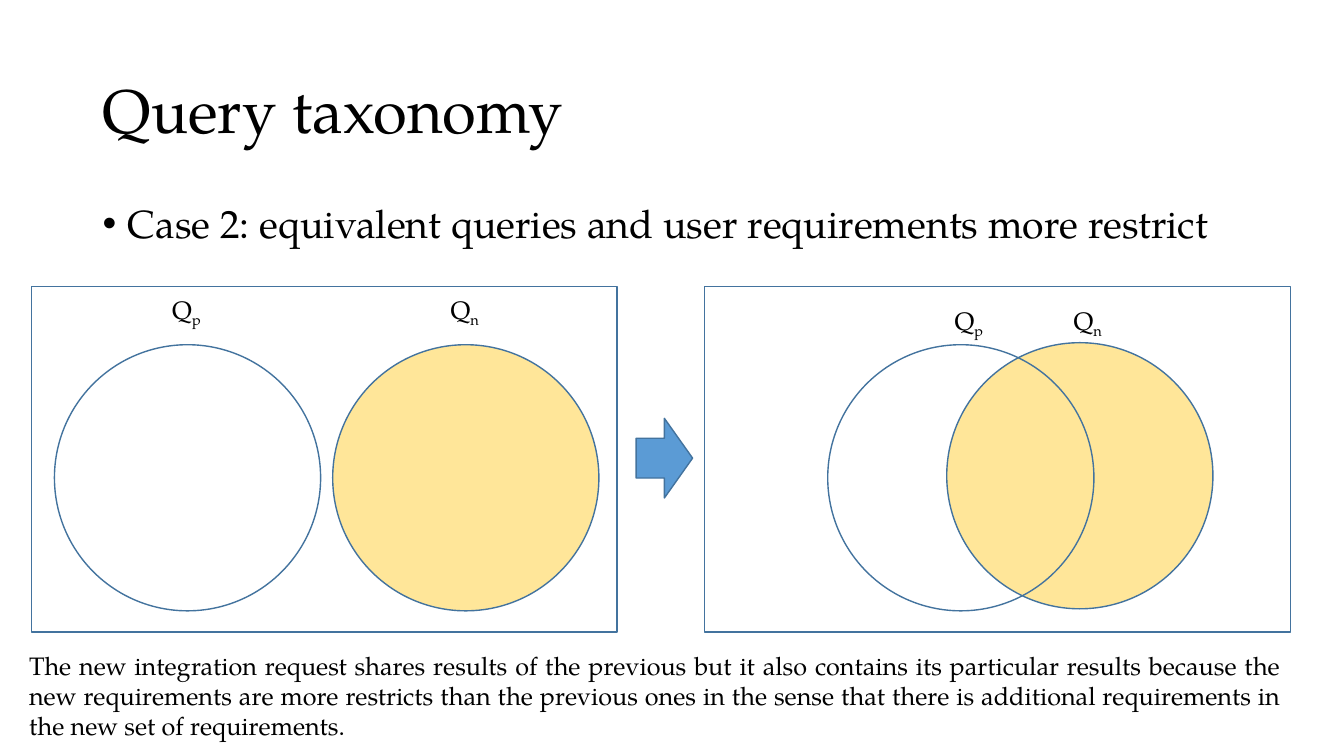
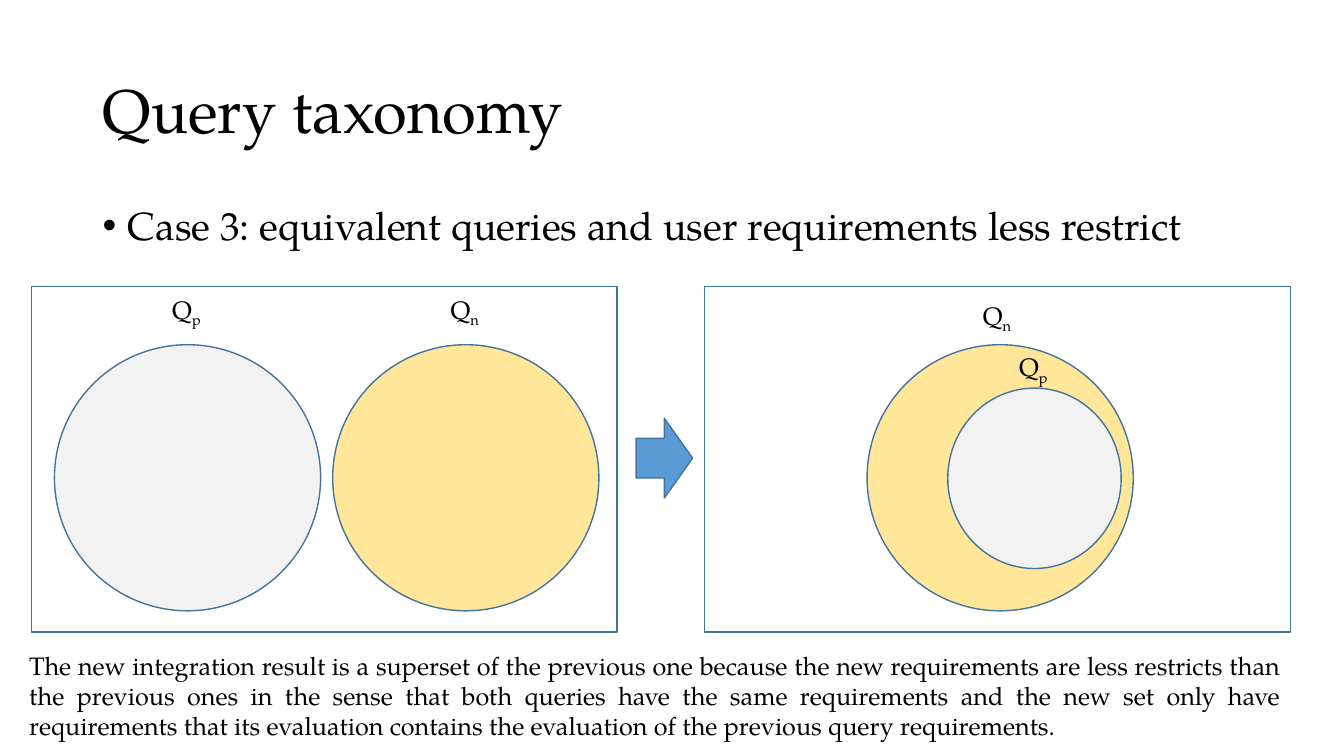
"""Build two slides on query taxonomy with set diagrams."""
from lxml import etree
from pptx import Presentation
from pptx.dml.color import RGBColor
from pptx.enum.shapes import MSO_SHAPE
from pptx.enum.text import MSO_ANCHOR, MSO_AUTO_SIZE, PP_ALIGN
from pptx.oxml.ns import qn
from pptx.util import Inches, Pt

OVAL, RECT, ARROW = MSO_SHAPE.OVAL, MSO_SHAPE.RECTANGLE, MSO_SHAPE.RIGHT_ARROW
MIDDLE = MSO_ANCHOR.MIDDLE
FIT = MSO_AUTO_SIZE.SHAPE_TO_FIT_TEXT
JUSTIFY = PP_ALIGN.JUSTIFY

FONT = "TeX Gyre Pagella"
BLACK, OUTLINE, BLUE = "000000", "43739E", "5B9BD5"
YELLOW, GRAY = "FFE699", "F2F2F2"
CIRCLE = 2.64
CIRCLE_TOP = 3.42
PANEL_TOP, PANEL_W, PANEL_H = 2.84, 5.81, 3.43
LEFT_CIRCLES = (0.54, 3.3)
LABEL_W, LABEL_H = 0.49, 0.4

TITLE = "Query taxonomy"
CASES = [
    {
        "heading": "Case 2: equivalent queries and user requirements more restrict",
        "heading_top": 1.98,
        "previous_fill": None,
        "circles": [
            ((9.39, 3.4, CIRCLE, CIRCLE), YELLOW),
            ((8.21, CIRCLE_TOP, CIRCLE, CIRCLE), None),
        ],
        "labels": [("p", 9.37, 2.98), ("n", 10.55, 2.98)],
        "note": "The new integration request shares results of the previous but it "
                "also contains its particular results because the new requirements are "
                "more restricts than the previous ones in the sense that there is "
                "additional requirements in the new set of requirements.",
    },
    {
        "heading": "Case 3: equivalent queries and user requirements less restrict",
        "heading_top": 2,
        "previous_fill": GRAY,
        "circles": [
            ((8.6, CIRCLE_TOP, CIRCLE, CIRCLE), YELLOW),
            ((9.4, 3.85, 1.72, 1.79), GRAY),
        ],
        "labels": [("n", 9.65, 2.93), ("p", 10.01, 3.44)],
        "note": "The new integration result is a superset of the previous one because "
                "the new requirements are less restricts than the previous ones in the "
                "sense that both queries have the same requirements and the new set only "
                "have requirements that its evaluation contains the evaluation of the "
                "previous query requirements.",
    },
]


def rgb(value):
    """Return the colour for a hex string."""
    return RGBColor.from_string(value)


def set_attrs(obj, values):
    """Set each attribute of obj from a dict."""
    for name, value in values.items():
        setattr(obj, name, value)


def add_outlined(shapes, kind, box, fill=None):
    """Add a preset shape with the shared outline."""
    sp = shapes.add_shape(kind, *map(Inches, box))
    sp.shadow.inherit = False
    if fill:
        sp.fill.solid()
        sp.fill.fore_color.rgb = rgb(fill)
    else:
        sp.fill.background()
    sp.line.color.rgb = rgb(OUTLINE)
    sp.line.width = Pt(1)
    return sp


def add_run(p, text, size):
    """Add a run in the deck font."""
    r = p.add_run()
    r.text = text
    set_attrs(r.font, {"name": FONT, "size": Pt(size)})
    r.font.color.rgb = rgb(BLACK)
    return r


def add_text(shapes, box, text, size, frame=None, para=None):
    """Add a text box and return its paragraph."""
    tf = shapes.add_textbox(*map(Inches, box)).text_frame
    set_attrs(tf, {"word_wrap": True, **(frame or {})})
    p = tf.paragraphs[0]
    set_attrs(p, para or {})
    add_run(p, text, size)
    return p


def add_bullet(p):
    """Give a paragraph a hanging round bullet."""
    props = p._p.get_or_add_pPr()
    props.set("marL", str(Inches(0.25)))
    props.set("indent", str(Inches(-0.25)))
    etree.SubElement(props, qn("a:buFont")).set("typeface", "Arial")
    etree.SubElement(props, qn("a:buChar")).set("char", "\u2022")


def add_label(shapes, subscript, left, top):
    """Add a query label with its subscript."""
    p = add_text(shapes, (left, top, LABEL_W, LABEL_H), "Q", 18,
                 {"word_wrap": False, "auto_size": FIT})
    r = add_run(p, subscript, 18)
    r._r.get_or_add_rPr().set("baseline", "-25000")


def add_panel(shapes, left):
    """Add the frame around a diagram."""
    add_outlined(shapes, RECT, (left, PANEL_TOP, PANEL_W, PANEL_H))


def add_separate_queries(shapes, previous_fill):
    """Add the grouped diagram of two separate queries."""
    group = shapes.add_group_shape().shapes
    for left, name, fill in zip(LEFT_CIRCLES, "pn", (previous_fill, YELLOW)):
        add_outlined(group, OVAL, (left, CIRCLE_TOP, CIRCLE, CIRCLE), fill)
        add_label(group, name, left + 1.07, 2.87)
    add_panel(group, 0.31)


def add_case(prs, case):
    """Add one slide for a query case."""
    shapes = prs.slides.add_slide(prs.slide_layouts[6]).shapes
    add_text(shapes, (0.92, 0.4, 11.5, 1.45), TITLE, 44,
             {"vertical_anchor": MIDDLE}, {"line_spacing": 0.9})
    p = add_text(shapes, (0.92, case["heading_top"], 11.5, 4.76), case["heading"], 28,
                 para={"line_spacing": 0.9, "space_before": Pt(10)})
    add_bullet(p)
    add_separate_queries(shapes, case["previous_fill"])
    for box, fill in case["circles"]:
        add_outlined(shapes, OVAL, box, fill)
    add_panel(shapes, 6.99)
    add_outlined(shapes, ARROW, (6.31, 4.15, 0.56, 0.79), BLUE)
    add_text(shapes, (0.19, 6.4, 12.61, 1.01), case["note"], 18,
             {"auto_size": FIT}, {"alignment": JUSTIFY})
    for label in case["labels"]:
        add_label(shapes, *label)


def main():
    """Build and save the deck."""
    prs = Presentation()
    set_attrs(prs, {"slide_width": Inches(13.33), "slide_height": Inches(7.5)})
    for case in CASES:
        add_case(prs, case)
    prs.save("out.pptx")


if __name__ == "__main__":
    main()
